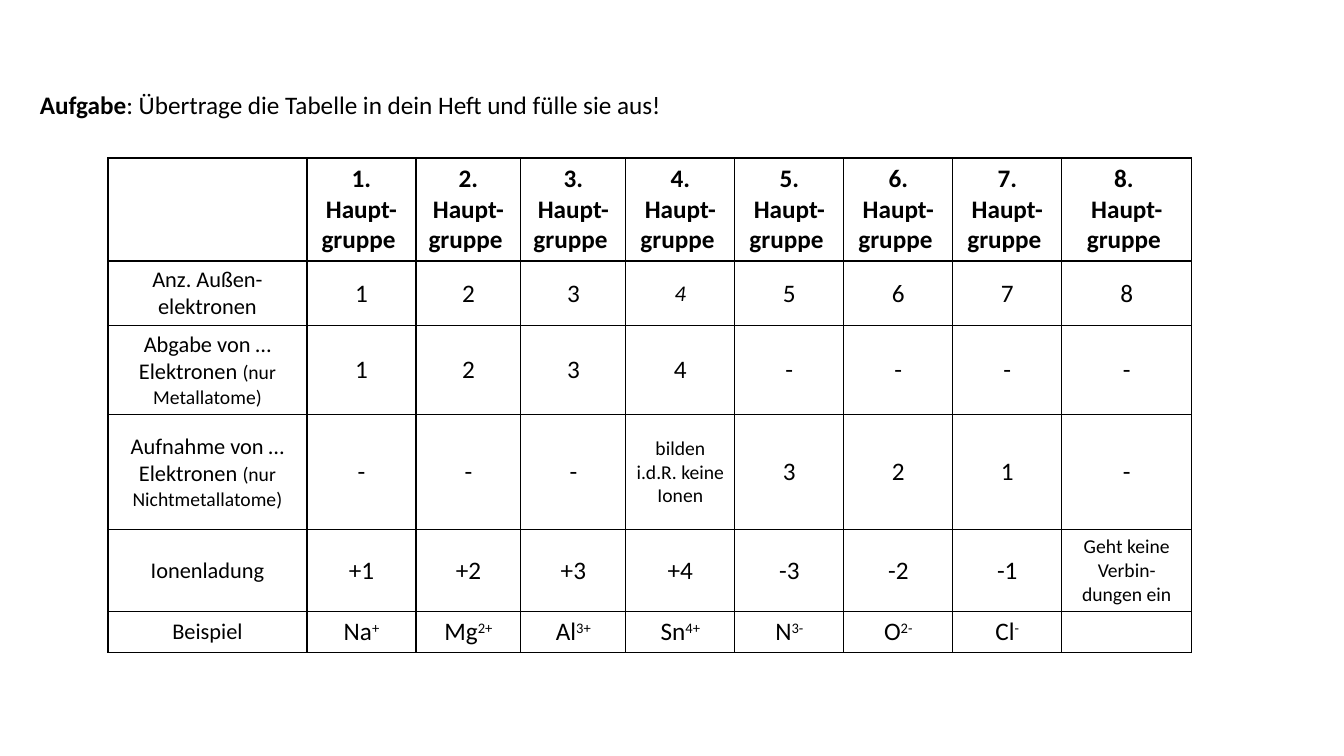
"""Build the worksheet slide on main groups, valence electrons and ion charges."""
import pptx
import pptx.util
import pptx.dml.color
import pptx.enum.text
import pptx.oxml
import pptx.oxml.ns

PX = 914400 / 100.8
BLACK = pptx.dml.color.RGBColor(0x00, 0x00, 0x00)
FONT = "Calibri"
BODY, LABEL, NOTE = 18, 16, 14


def px(length):
    return pptx.util.Emu(round(length * PX))


def style(font, size):
    font.name = FONT
    font.size = pptx.util.Pt(size)
    font.color.rgb = BLACK


presentation = pptx.Presentation()
presentation.slide_width = px(1344)
presentation.slide_height = px(756)
slide = presentation.slides.add_slide(presentation.slide_layouts[6])

column_widths = [199, 109, 105, 105, 109, 109, 109, 109, 130]
row_heights = [103, 64, 89, 115, 81, 41]
headings = [f"{group}. Haupt-gruppe " for group in range(1, 8)]
rows = [
    ["", *headings, "8. \nHaupt-gruppe "],
    ["Anz. Außen-elektronen", *"12345678"],
    [("Abgabe von … Elektronen ", "(nur Metallatome)"), *"1234----"],
    [("Aufnahme von … Elektronen ", "(nur Nichtmetallatome)"),
     *"---", "bilden i.d.R. keine Ionen", *"321-"],
    ["Ionenladung", "+1", "+2", "+3", "+4", "-3", "-2", "-1",
     "Geht keine Verbin-dungen ein"],
    ["Beispiel", ("Na", "+"), ("Mg", "2+"), ("Al", "3+"), ("Sn", "4+"),
     ("N", "3-"), ("O", "2-"), ("Cl", "-"), ""],
]
small_cells = {(1, 4): LABEL, (3, 4): NOTE, (4, 8): NOTE}

table = slide.shapes.add_table(
    len(rows), len(column_widths), px(108), px(158),
    px(sum(column_widths)), px(sum(row_heights))).table
table.first_row = False
table.horz_banding = False
for column, width in zip(table.columns, column_widths):
    column.width = px(width)
for row, height in zip(table.rows, row_heights):
    row.height = px(height)

for r, row in enumerate(rows):
    for c, content in enumerate(row):
        cell = table.cell(r, c)
        cell.vertical_anchor = pptx.enum.text.MSO_ANCHOR.MIDDLE
        properties = cell._tc.get_or_add_tcPr()
        for side in ("lnL", "lnR", "lnT", "lnB"):
            properties.append(pptx.oxml.parse_xml(
                f'<a:{side} {pptx.oxml.ns.nsdecls("a")} w="12700"><a:solidFill>'
                f'<a:srgbClr val="{BLACK}"/></a:solidFill></a:{side}>'))
        cell.fill.background()

        size = small_cells.get((r, c), BODY if c else LABEL)
        if isinstance(content, tuple):
            paragraph = cell.text_frame.paragraphs[0]
            for text in content:
                run = paragraph.add_run()
                run.text = text
                style(run.font, size)
            if c:
                run._r.get_or_add_rPr().set("baseline", "30000")
            else:
                run.font.size = pptx.util.Pt(NOTE)
        else:
            cell.text = content
        for paragraph in cell.text_frame.paragraphs:
            paragraph.alignment = pptx.enum.text.PP_ALIGN.CENTER
            style(paragraph.font, size)
            paragraph.font.bold = r == 0
            paragraph.font.italic = (r, c) == (1, 4)

task = slide.shapes.add_textbox(px(30), px(84), px(1066), px(40)).text_frame
task.word_wrap = True
instruction = task.paragraphs[0]
style(instruction.font, BODY)
for text, bold in [("Aufgabe", True),
                   (": Übertrage die Tabelle in dein Heft und fülle sie aus!", False)]:
    run = instruction.add_run()
    run.text = text
    run.font.bold = bold

presentation.save("out.pptx")
